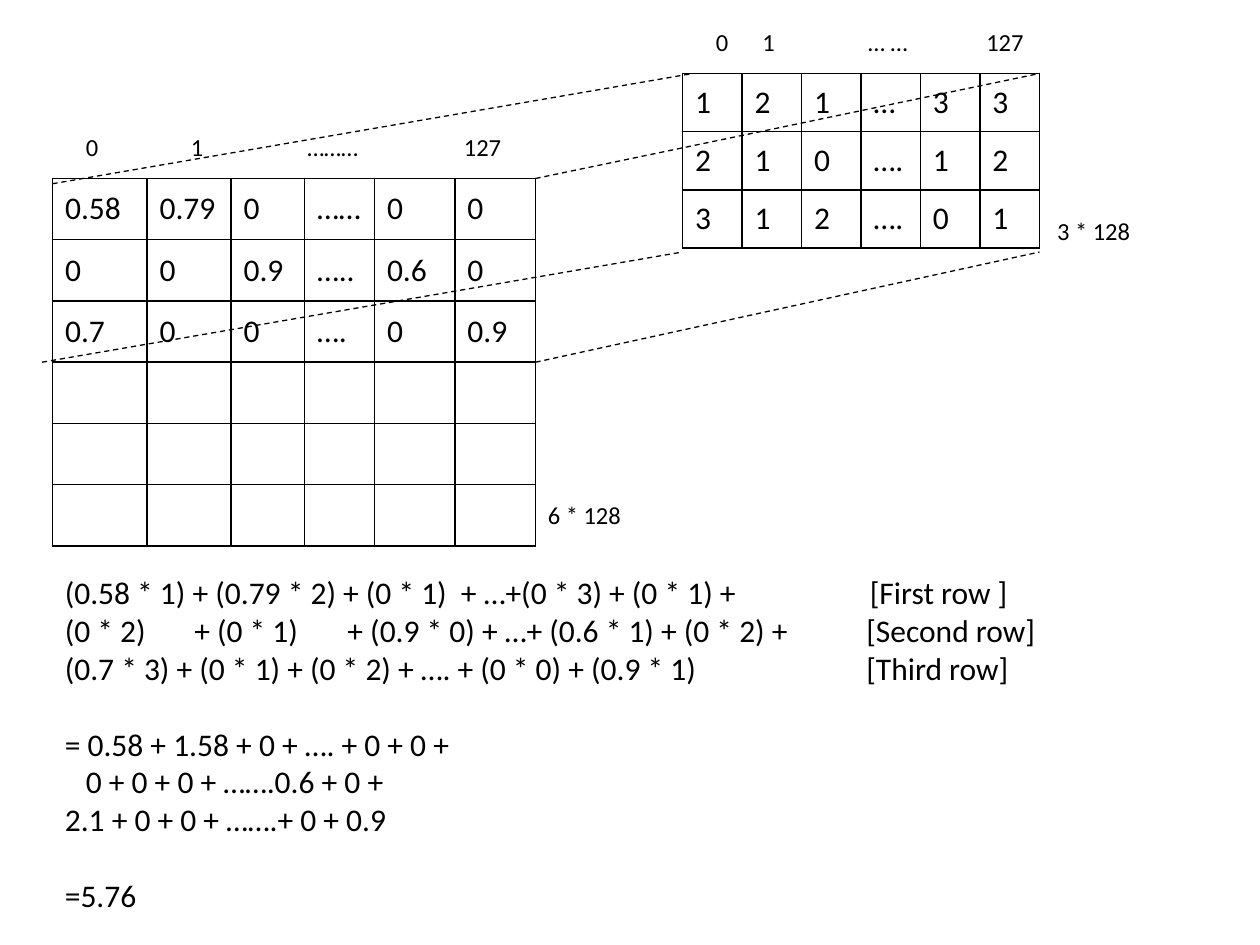
from lxml.etree import SubElement
from pptx import Presentation
from pptx.dml.color import RGBColor
from pptx.enum.dml import MSO_LINE_DASH_STYLE as Dash
from pptx.enum.shapes import MSO_CONNECTOR as Conn
from pptx.enum.text import MSO_ANCHOR as Anchor, MSO_AUTO_SIZE as AutoSize
from pptx.oxml.ns import qn
from pptx.util import Pt

BLACK = RGBColor(0, 0, 0)
WHITE = RGBColor(255, 255, 255)
FONT = "Calibri"

# left, top, column widths, row height, rows
MATRICES = [
    (30, 102, [54, 48, 42, 40, 46, 46], 35, [
        ["0.58", "0.79", "0", "……", "0", "0"],
        ["0", "0", "0.9", "…..", "0.6", "0"],
        ["0.7", "0", "0", "….", "0", "0.9"],
        [""] * 6, [""] * 6, [""] * 6]),
    (390, 42, [34] * 6, 33.3, [
        ["1", "2", "1", "…", "3", "3"],
        ["2", "1", "0", "….", "1", "2"],
        ["3", "1", "2", "….", "0", "1"]]),
]

# x1, y1, x2, y2
PROJECTIONS = [
    (30, 105, 396, 42),
    (306, 102, 594, 42),
    (24, 207, 390, 144),
    (306, 207, 594, 144),
]

# left, top, width, height, size, paragraphs of (text, tab stops, space before)
TEXTS = [
    (30, 72, 276, 24, 14, [("\t0\t1\t………\t127", [12, 72, 138.5, 228], 0)]),
    (390, 12, 204, 24, 14, [("\t0\t1\t… …\t127", [12, 38.5, 99, 166.5], 0)]),
    (306, 282, 66, 24, 14, [("6 * 128", [], 0)]),
    (597, 120, 75, 24, 14, [("3 * 128", [], 0)]),
    (30, 324, 648, 204, 18, [
        ("(0.58 * 1) + (0.79 * 2) + (0 * 1)  + …+(0 * 3) + (0 * 1) +\t[First row ]", [460], 0),
        ("(0 * 2)\t+ (0 * 1)\t+ (0.9 * 0) + …+ (0.6 * 1) + (0 * 2) +\t[Second row]",
         [74, 161.5, 458], 0),
        ("(0.7 * 3) + (0 * 1) + (0 * 2) + …. + (0 * 0) + (0.9 * 1)\t[Third row]", [458], 0),
        ("= 0.58 + 1.58 + 0 + …. + 0 + 0 +", [], 21.75),
        ("\t0 + 0 + 0 + …….0.6 + 0 +", [12], 0),
        ("2.1 + 0 + 0 + …….+ 0 + 0.9", [], 0),
        ("=5.76", [], 21.75)]),
]


def style(p, size):
    """Set the font of a paragraph's runs."""
    for r in p.runs:
        r.font.name, r.font.size = FONT, Pt(size)
        r.font.color.rgb = BLACK


def add_borders(cell):
    """Draw a thin black line on all four sides of a cell."""
    tc_pr = cell._tc.get_or_add_tcPr()
    for i, side in enumerate(("a:lnL", "a:lnR", "a:lnT", "a:lnB")):
        ln = tc_pr.makeelement(qn(side), {"w": str(Pt(1))})
        SubElement(SubElement(ln, qn("a:solidFill")), qn("a:srgbClr"), val=str(BLACK))
        tc_pr.insert(i, ln)


def add_matrix(s, left, top, widths, row_height, rows):
    """Add a bordered table of values."""
    frame = s.shapes.add_table(len(rows), len(widths), Pt(left), Pt(top),
                               Pt(sum(widths)), Pt(row_height * len(rows)))
    table = frame.table
    table.first_row = table.horz_banding = False
    for column, width in zip(table.columns, widths):
        column.width = Pt(width)
    for row, values in zip(table.rows, rows):
        row.height = Pt(row_height)
        for cell, value in zip(row.cells, values):
            cell.text = value
            cell.vertical_anchor = Anchor.MIDDLE
            cell.fill.solid()
            cell.fill.fore_color.rgb = WHITE
            add_borders(cell)
            style(cell.text_frame.paragraphs[0], 18)


def add_projection(s, *ends):
    """Add a dashed line between the two matrices."""
    line = s.shapes.add_connector(Conn.STRAIGHT, *map(Pt, ends))
    line.line.color.rgb = BLACK
    line.line.width = Pt(0.75)
    line.line.dash_style = Dash.DASH
    SubElement(line._element.spPr, qn("a:effectLst"))


def add_text(s, left, top, width, height, size, paragraphs):
    """Add a text box whose gaps come from tab stops and spacing."""
    sp = s.shapes.add_textbox(Pt(left), Pt(top), Pt(width), Pt(height))
    tf = sp.text_frame
    tf.word_wrap = True
    tf.auto_size = AutoSize.SHAPE_TO_FIT_TEXT
    for i, (text, stops, before) in enumerate(paragraphs):
        p = tf.add_paragraph() if i else tf.paragraphs[0]
        p.text = text
        p.space_before = Pt(before)
        style(p, size)
        if stops:
            tabs = SubElement(p._p.get_or_add_pPr(), qn("a:tabLst"))
            for stop in stops:
                SubElement(tabs, qn("a:tab"), pos=str(Pt(stop)), algn="l")


prs = Presentation()
prs.slide_width, prs.slide_height = Pt(720), Pt(540)
s = prs.slides.add_slide(prs.slide_layouts[6])
for matrix in MATRICES:
    add_matrix(s, *matrix)
for projection in PROJECTIONS:
    add_projection(s, *projection)
for text in TEXTS:
    add_text(s, *text)
prs.save("out.pptx")
